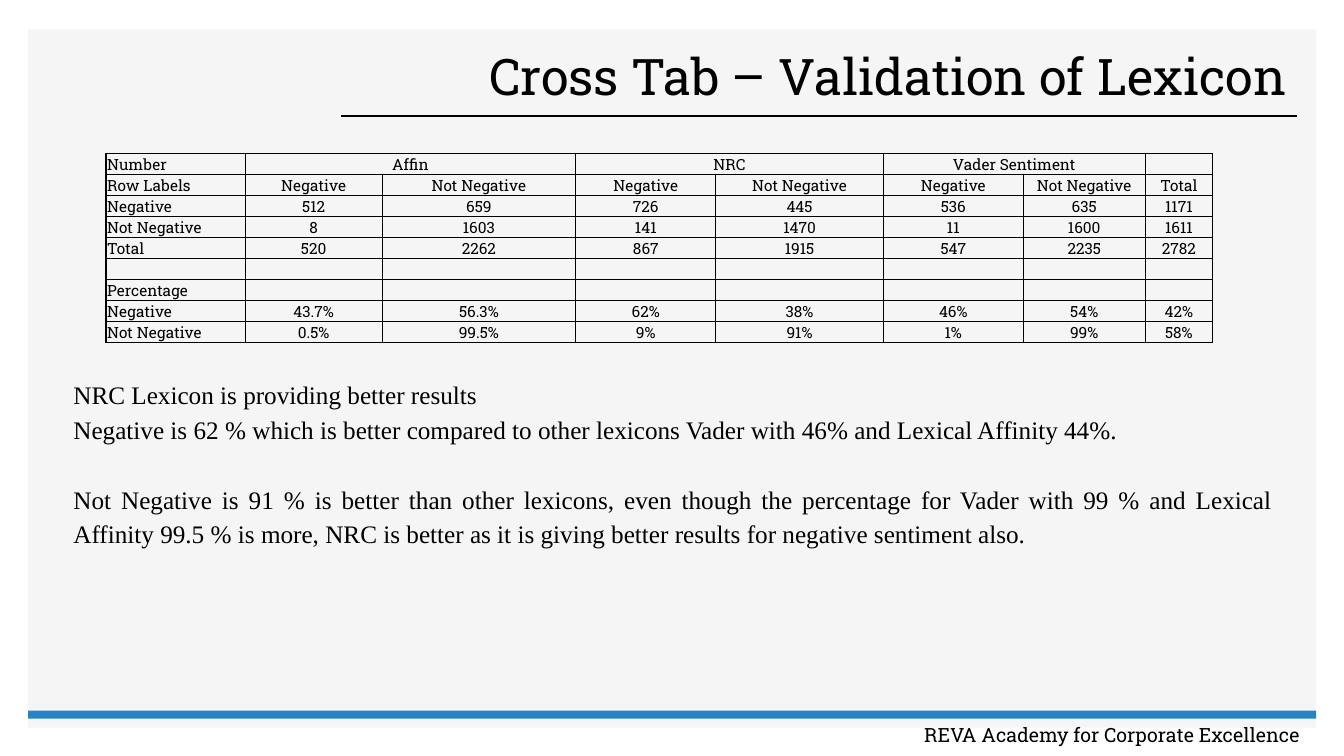
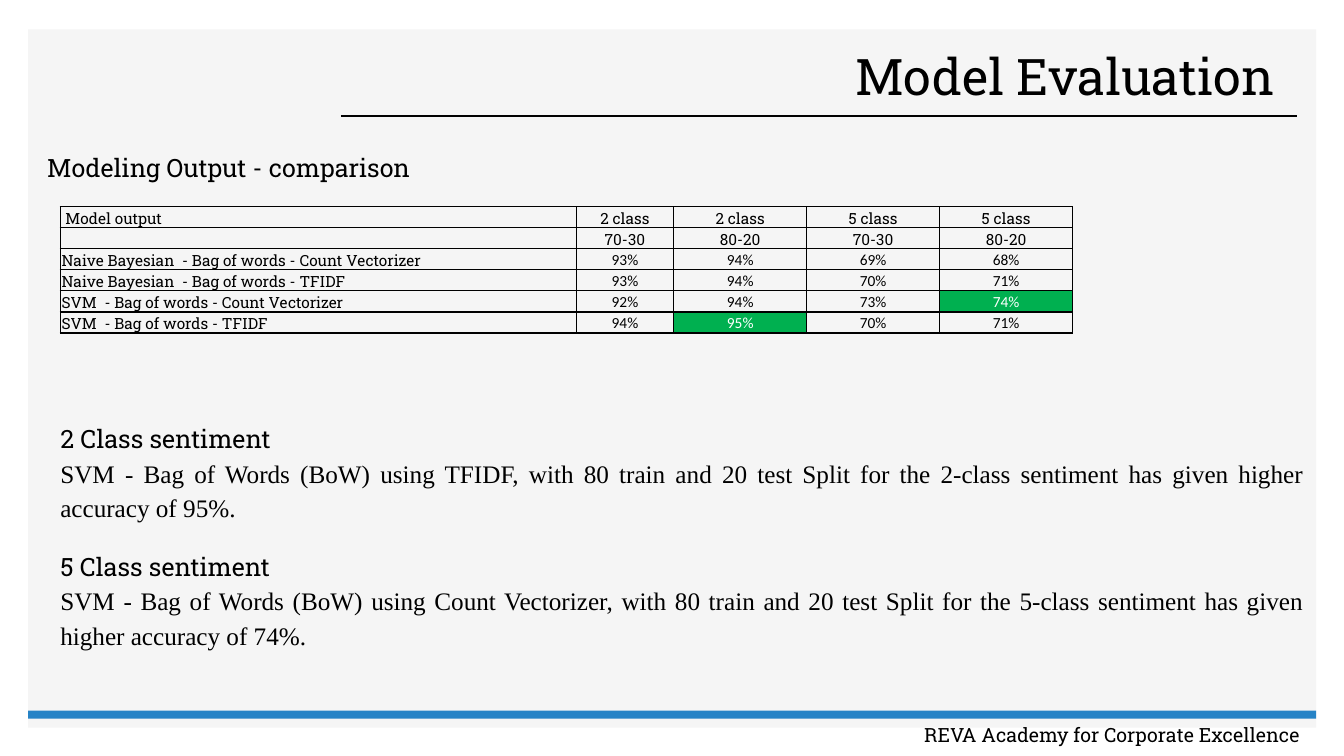
from lxml import etree
from pptx import Presentation
from pptx.dml.color import RGBColor
from pptx.enum.shapes import MSO_CONNECTOR, MSO_SHAPE
from pptx.enum.text import MSO_ANCHOR, PP_ALIGN
from pptx.oxml.ns import qn
from pptx.util import Cm, Pt

BLACK = RGBColor(0x00, 0x00, 0x00)
WHITE = RGBColor(0xFF, 0xFF, 0xFF)
PANEL_GREY = RGBColor(0xF5, 0xF5, 0xF5)
BAND_BLUE = RGBColor(0x26, 0x83, 0xC6)
BEST_GREEN = RGBColor(0x00, 0xB0, 0x50)

SLAB = "Roboto Slab"
SERIF = "Times New Roman"
SANS = "Calibri"

LEFT, CENTER, RIGHT, JUSTIFY = (
    PP_ALIGN.LEFT, PP_ALIGN.CENTER, PP_ALIGN.RIGHT, PP_ALIGN.JUSTIFY)
MIDDLE, BOTTOM = MSO_ANCHOR.MIDDLE, MSO_ANCHOR.BOTTOM
RECTANGLE = MSO_SHAPE.RECTANGLE
STRAIGHT = MSO_CONNECTOR.STRAIGHT

FOOTER = "REVA Academy for Corporate Excellence "
ROW_HEIGHT = 0.53
TABLE_SIZE = 11

HEADING = {"size": 18, "font": SLAB}
BODY = {"size": 18, "font": SERIF, "align": JUSTIFY, "line_spacing": 1.15}

LEXICON_COLUMNS = [3.51, 3.45, 4.88, 3.53, 4.22, 3.53, 3.07, 1.7]
LEXICON_ROWS = [
    ["Number", "Affin", "", "NRC", "", "Vader Sentiment", "", ""],
    ["Row Labels"] + ["Negative", "Not Negative"] * 3 + ["Total"],
    ["Negative", "512", "659", "726", "445", "536", "635", "1171"],
    ["Not Negative", "8", "1603", "141", "1470", "11", "1600", "1611"],
    ["Total", "520", "2262", "867", "1915", "547", "2235", "2782"],
    [""] * 8,
    ["Percentage"] + [""] * 7,
    ["Negative", "43.7%", "56.3%", "62%", "38%", "46%", "54%", "42%"],
    ["Not Negative", "0.5%", "99.5%", "9%", "91%", "1%", "99%", "58%"],
]
LEXICON_HEADER_PAIRS = [1, 3, 5]
LEXICON_TEXT = [
    ("NRC Lexicon is providing better results", BODY),
    ("Negative is 62 % which is better compared to other lexicons Vader with "
     "46% and Lexical Affinity 44%.", BODY),
    ("Not Negative is 91 % is better than other lexicons, even though the "
     "percentage for Vader with 99 % and Lexical Affinity 99.5 % is more, NRC "
     "is better as it is giving better results for negative sentiment also.",
     BODY | {"space_before": 25}),
]

MODEL_COLUMNS = [13, 2.46, 3.35, 3.35, 3.35]
MODEL_ROWS = [
    [" Model output", "2 class", "2 class", "5 class", "5 class"],
    ["", "70-30", "80-20", "70-30", "80-20"],
    ["Naive Bayesian  - Bag of words - Count Vectorizer",
     "93%", "94%", "69%", "68%"],
    ["Naive Bayesian  - Bag of words - TFIDF", "93%", "94%", "70%", "71%"],
    ["SVM  - Bag of words - Count Vectorizer", "92%", "94%", "73%", "74%"],
    ["SVM  - Bag of words - TFIDF", "94%", "95%", "70%", "71%"],
]
MODEL_BEST_CELLS = {(4, 4), (5, 2)}
MODEL_TEXT = [
    ("2 Class sentiment", HEADING),
    ("SVM - Bag of Words (BoW) using TFIDF, with 80 train and 20 test Split "
     "for the 2-class sentiment has given higher accuracy of 95%.", BODY),
    ("5 Class sentiment", HEADING | {"space_before": 20}),
    ("SVM - Bag of Words (BoW) using Count Vectorizer, with 80 train and 20 "
     "test Split for the 5-class sentiment has given higher accuracy of 74%.",
     BODY),
]


def write_paragraph(frame, text, *, size, font, color=BLACK, align=LEFT,
                    line_spacing=None, space_before=None):
    """Fill the frame's first paragraph if it is unused, else append one."""
    paragraph = frame.paragraphs[0]
    if paragraph.runs:
        paragraph = frame.add_paragraph()
    paragraph.alignment = align
    if line_spacing:
        paragraph.line_spacing = line_spacing
    if space_before:
        paragraph.space_before = Pt(space_before)
    if text:
        run = paragraph.add_run()
        run.text = text
        run.font.size = Pt(size)
        run.font.name = font
        run.font.color.rgb = color
    else:
        # The end mark keeps an empty cell as low as a filled one.
        etree.SubElement(paragraph._p, qn("a:endParaRPr"), sz=str(size * 100))


def add_text(slide, box, paragraphs, anchor=None):
    """Add a text box; paragraphs are (text, format) pairs."""
    shape = slide.shapes.add_textbox(*map(Cm, box))
    frame = shape.text_frame
    frame.word_wrap = True
    if anchor is not None:
        frame.vertical_anchor = anchor
    for text, text_format in paragraphs:
        write_paragraph(frame, text, **text_format)


def add_rectangle(slide, box, color):
    shape = slide.shapes.add_shape(RECTANGLE, *map(Cm, box))
    shape.shadow.inherit = False
    shape.fill.solid()
    shape.fill.fore_color.rgb = color
    shape.line.fill.background()


def add_rule(slide, start, end):
    rule = slide.shapes.add_connector(STRAIGHT, *map(Cm, start + end))
    rule.line.color.rgb = BLACK
    rule.line.width = Pt(1)
    etree.SubElement(rule._element.spPr, qn("a:effectLst"))


def add_borders(cell):
    properties = cell._tc.get_or_add_tcPr()
    for side in ("lnL", "lnR", "lnT", "lnB"):
        line = etree.SubElement(properties, qn(f"a:{side}"), w=str(Pt(1)))
        fill = etree.SubElement(line, qn("a:solidFill"))
        etree.SubElement(fill, qn("a:srgbClr"), val=str(BLACK))


def add_table(slide, left, top, columns, rows, *, header_pairs=(),
              best_cells=(), value_font=SLAB):
    """Add a grid; header_pairs are the first columns of merged top cells."""
    table = slide.shapes.add_table(
        len(rows), len(columns), Cm(left), Cm(top),
        Cm(sum(columns)), Cm(ROW_HEIGHT * len(rows))).table
    table.first_row = table.horz_banding = False
    for column, width in zip(table.columns, columns):
        column.width = Cm(width)
    for row_index, row in enumerate(rows):
        table.rows[row_index].height = Cm(ROW_HEIGHT)
        for column_index, text in enumerate(row):
            cell = table.cell(row_index, column_index)
            cell.margin_left = cell.margin_right = cell.margin_top = Cm(0.03)
            cell.margin_bottom = 0
            cell.vertical_anchor = BOTTOM
            add_borders(cell)
            is_best = (row_index, column_index) in best_cells
            if is_best:
                cell.fill.solid()
                cell.fill.fore_color.rgb = BEST_GREEN
            else:
                cell.fill.background()
            is_value = row_index > 1 and column_index > 0
            write_paragraph(
                cell.text_frame, text, size=TABLE_SIZE,
                font=value_font if is_value else SLAB,
                color=WHITE if is_best else BLACK,
                align=CENTER if column_index else LEFT)
    for first in header_pairs:
        table.cell(0, first).merge(table.cell(0, first + 1))


def add_framed_slide(presentation, title):
    """Add a slide with the shared panel, rule, band, footer and title."""
    slide = presentation.slides.add_slide(presentation.slide_layouts[6])
    add_rectangle(slide, (0.71, 0.74, 32.46, 17.6), PANEL_GREY)
    add_rule(slide, (8.59, 2.92), (32.69, 2.92))
    add_rectangle(slide, (0.71, 17.91, 32.46, 0.2), BAND_BLUE)
    add_text(slide, (19.86, 18.08, 13.28, 0.86),
             [(FOOTER, {"size": 14, "font": SLAB, "align": RIGHT})])
    add_text(slide, (9.4, 1.07, 23.29, 1.85),
             [(title, {"size": 36, "font": SLAB, "align": RIGHT,
                       "line_spacing": 0.9})], anchor=MIDDLE)
    return slide


def main():
    presentation = Presentation()
    presentation.slide_width = Cm(33.87)
    presentation.slide_height = Cm(19.05)

    slide = add_framed_slide(presentation, "Cross Tab – Validation of Lexicon")
    add_table(slide, 2.67, 3.86, LEXICON_COLUMNS, LEXICON_ROWS,
              header_pairs=LEXICON_HEADER_PAIRS)
    add_text(slide, (1.6, 9.32, 30.73, 4.6), LEXICON_TEXT)

    slide = add_framed_slide(presentation, "Model Evaluation ")
    add_text(slide, (0.94, 3.71, 16.94, 1.02),
             [("Modeling Output - comparison", HEADING)])
    add_text(slide, (1.27, 10.54, 31.85, 6.88), MODEL_TEXT)
    add_table(slide, 1.52, 5.21, MODEL_COLUMNS, MODEL_ROWS,
              best_cells=MODEL_BEST_CELLS, value_font=SANS)

    presentation.save("out.pptx")


if __name__ == "__main__":
    main()
